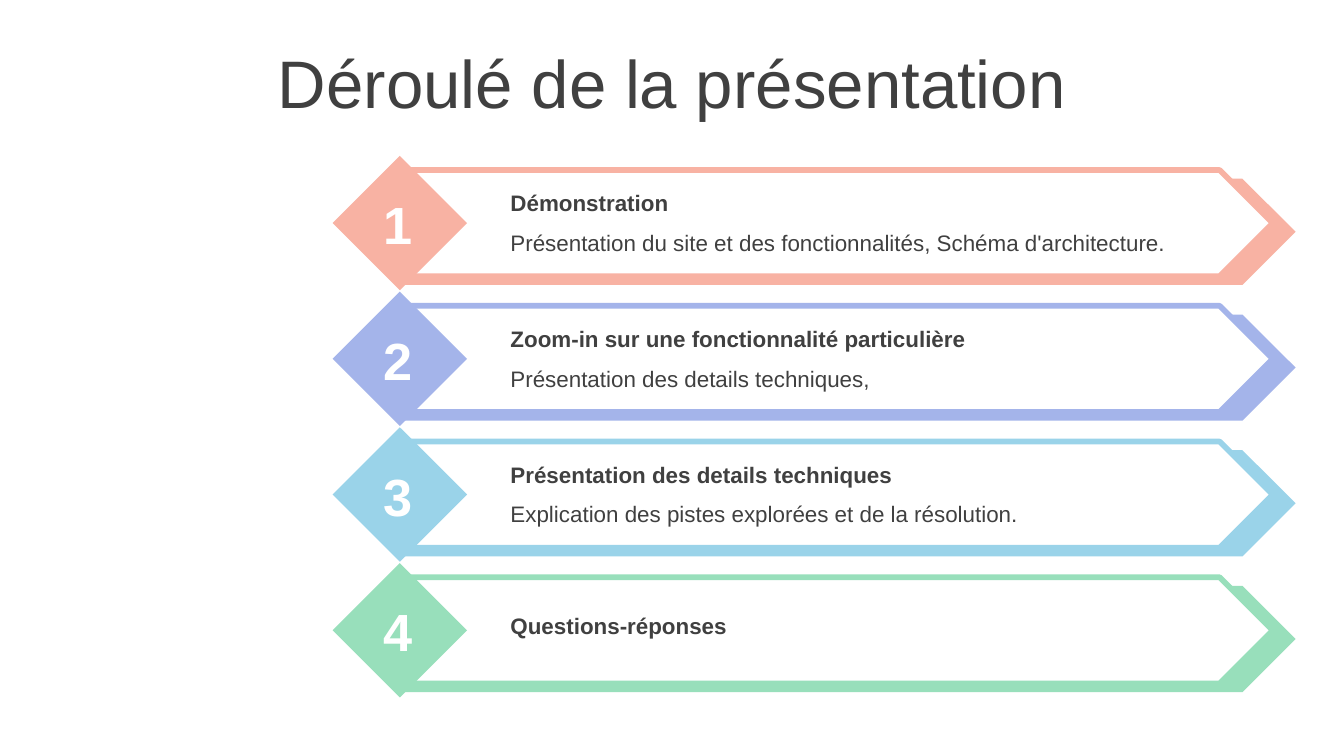
from pptx import Presentation
from pptx.dml.color import RGBColor
from pptx.enum.shapes import MSO_SHAPE as Shape
from pptx.enum.text import MSO_ANCHOR as Anchor, PP_ALIGN as Align
from pptx.util import Inches, Pt

# Widescreen slide, 16:9
presentation = Presentation()
presentation.slide_width = Inches(10)
presentation.slide_height = presentation.slide_width * 9 // 16
slide = presentation.slides.add_slide(presentation.slide_layouts[6])

# Square grid: 100 units across the slide
UNIT = presentation.slide_width / 100
FIRST_ROW, ROW_STEP = 11.6, 10.1
DARK, WHITE = "404040", "FFFFFF"


def add_block(kind, left, top, width, height, fill, line=None):
    box = [round(n * UNIT) for n in (left, top, width, height)]
    shape = slide.shapes.add_shape(kind, *box)
    shape.shadow.inherit = False
    shape.fill.solid()
    shape.fill.fore_color.rgb = RGBColor.from_string(fill)
    if line:
        shape.line.color.rgb = RGBColor.from_string(line)
        shape.line.width = Pt(3)
    else:
        shape.line.fill.background()


def add_text(text, left, top, width, height, size, color=DARK, bold=False,
             align=Align.LEFT, anchor=Anchor.TOP):
    box = [round(n * UNIT) for n in (left, top, width, height)]
    frame = slide.shapes.add_textbox(*box).text_frame
    frame.word_wrap = True
    frame.vertical_anchor = anchor
    paragraph = frame.paragraphs[0]
    paragraph.text = text
    paragraph.alignment = align
    font = paragraph.font
    font.name, font.size, font.bold = "Arial", Pt(size), bold
    font.color.rgb = RGBColor.from_string(color)


# Title
add_text("Déroulé de la présentation", 0, 2.9, 100, 6.3, 36,
         align=Align.CENTER, anchor=Anchor.MIDDLE)

# Agenda: colour, heading, detail
agenda = [
    ("F8B2A3", "Démonstration",
     "Présentation du site et des fonctionnalités, Schéma d'architecture."),
    ("A4B4EA", "Zoom-in sur une fonctionnalité particulière",
     "Présentation des details techniques,"),
    ("9AD3E9", "Présentation des details techniques",
     "Explication des pistes explorées et de la résolution."),
    ("98DFBB", "Questions-réponses", None),
]

for index, (color, heading, detail) in enumerate(agenda):
    top = FIRST_ROW + index * ROW_STEP

    # Arrow band with its offset backing, and the diamond
    add_block(Shape.PENTAGON, 30, top + 1.7, 66.4, 7.9, color)
    add_block(Shape.PENTAGON, 30, top + 1.05, 64.7, 7.9, WHITE, color)
    add_block(Shape.DIAMOND, 24.75, top, 10, 10, color)

    # Number
    add_text(str(index + 1), 27.4, top + 2.2, 4.4, 5.7, 28, WHITE, True,
             Align.CENTER, Anchor.MIDDLE)

    # Heading, lowered when it stands alone
    heading_top = top + (2 if detail else 3.15)
    add_text(heading, 37, heading_top, 52, 3, 12, bold=True)
    if detail:
        add_text(detail, 37, top + 4.95, 52, 3, 12)

presentation.save("out.pptx")
